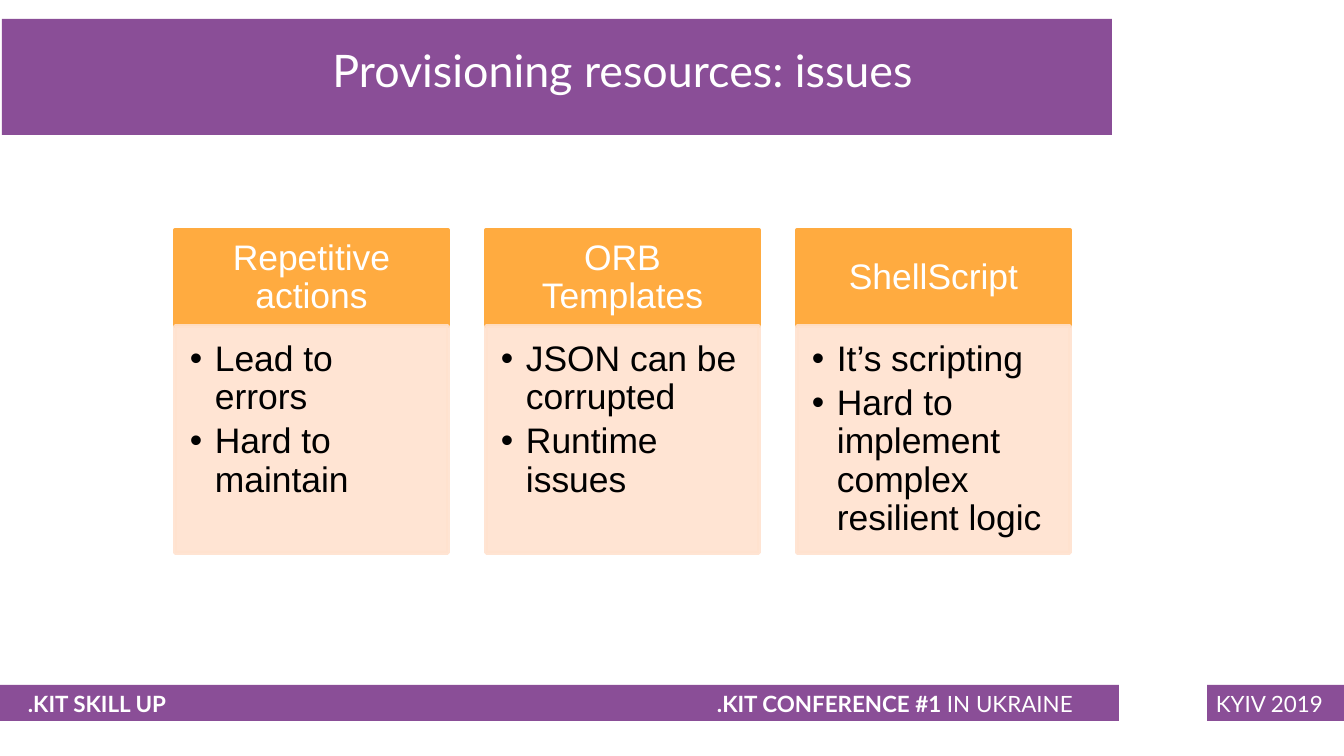
from lxml.etree import SubElement
from pptx import Presentation
from pptx.dml.color import RGBColor
from pptx.enum.shapes import MSO_SHAPE as Preset
from pptx.enum.text import MSO_ANCHOR as Anchor, MSO_AUTO_SIZE as AutoSize, PP_ALIGN as Align
from pptx.oxml.ns import qn
from pptx.util import Emu, Pt

# Content
TITLE = "Provisioning resources: issues"
CARDS = [
    ("Repetitive actions", ["Lead to errors", "Hard to maintain"]),
    ("ORB Templates", ["JSON can be corrupted", "Runtime issues"]),
    ("ShellScript", ["It’s scripting", "Hard to implement complex resilient logic"]),
]
# Footer entries: left, width, alignment, runs of (text, bold)
FOOTER = [
    (15, 400, Align.LEFT, [(".KIT SKILL UP", True)]),
    (539, 547, Align.RIGHT, [(".KIT CONFERENCE #1 ", True), ("IN UKRAINE", False)]),
    (1189, 147, Align.RIGHT, [("KYIV 2019", False)]),
]
COLORS = {"purple": "8A4E97", "white": "FFFFFF", "orange": "FFAB40",
          "peach": "FFE2CF", "black": "000000"}

# Layout in px
EMU_PER_PX = 914400 / 134.4
SLIDE_WIDTH, SLIDE_HEIGHT = 1344, 756
CARD_LEFT, CARD_PITCH, CARD_WIDTH = 175, 311, 273
HEADER_TOP, HEADER_HEIGHT, LIST_HEIGHT = 230, 96, 227
BULLET_INDENT = 25


def px(value):
    return Emu(round(value * EMU_PER_PX))


def color(name):
    return RGBColor.from_string(COLORS[name])


def add_box(left, top, width, height, fill, line=False, opacity=None):
    shape = slide.shapes.add_shape(Preset.RECTANGLE, px(left), px(top), px(width), px(height))
    shape.shadow.inherit = False
    shape.fill.solid()
    shape.fill.fore_color.rgb = color(fill)
    if line:
        shape.line.color.rgb = color(fill)
        shape.line.width = Pt(2)
    else:
        shape.line.fill.background()
    if opacity:
        for node in shape._element.spPr.iter(qn("a:srgbClr")):
            SubElement(node, qn("a:alpha"), val=str(opacity * 1000))
    return shape


def set_frame(shape, insets, anchor):
    frame = shape.text_frame
    frame.word_wrap = True
    frame.auto_size = AutoSize.NONE
    frame.vertical_anchor = anchor
    (frame.margin_left, frame.margin_top,
     frame.margin_right, frame.margin_bottom) = map(px, insets)
    return frame


def add_run(paragraph, text, size, font, fill, bold=False):
    run = paragraph.add_run()
    run.text = text
    run.font.size = Pt(size)
    run.font.name = font
    run.font.bold = bold
    run.font.color.rgb = color(fill)


def add_bullet(paragraph):
    properties = paragraph._p.get_or_add_pPr()
    properties.set("marL", str(px(BULLET_INDENT)))
    properties.set("indent", str(-px(BULLET_INDENT)))
    bullet_color = SubElement(properties, qn("a:buClr"))
    SubElement(bullet_color, qn("a:srgbClr"), val=COLORS["black"])
    SubElement(properties, qn("a:buFont"), typeface="Arial")
    SubElement(properties, qn("a:buChar"), char="•")


presentation = Presentation()
presentation.slide_width, presentation.slide_height = px(SLIDE_WIDTH), px(SLIDE_HEIGHT)
slide = presentation.slides.add_slide(presentation.slide_layouts[5])

# Footer band with a white gap
add_box(0, 685, SLIDE_WIDTH, 36, "purple")
add_box(1119, 659, 88, 88, "white")
for left, width, alignment, runs in FOOTER:
    text_box = slide.shapes.add_textbox(px(left), px(687), px(width), px(33))
    paragraph = set_frame(text_box, (13, 13, 13, 13), Anchor.MIDDLE).paragraphs[0]
    paragraph.alignment = alignment
    for text, bold in runs:
        add_run(paragraph, text, 12, "Lato", "white", bold)

# Title over its banner
banner = add_box(2, 19, 1110, 116, "purple")
title = slide.shapes.title
title.left, title.top, title.width, title.height = map(px, (185, 30, 875, 85))
banner._element.addnext(title._element)
paragraph = set_frame(title, (13, 13, 13, 13), Anchor.TOP).paragraphs[0]
paragraph.alignment = Align.CENTER
add_run(paragraph, TITLE, 24, "Lato", "white")

# Cards: heading above a bulleted list
for index, (heading, points) in enumerate(CARDS):
    left = CARD_LEFT + index * CARD_PITCH
    header = add_box(left, HEADER_TOP, CARD_WIDTH, HEADER_HEIGHT, "orange", line=True)
    paragraph = set_frame(header, (20, 11, 20, 11), Anchor.MIDDLE).paragraphs[0]
    paragraph.alignment = Align.CENTER
    paragraph.line_spacing = 0.9
    add_run(paragraph, heading, 19, "Arial", "white")

    body = add_box(left, HEADER_TOP + HEADER_HEIGHT, CARD_WIDTH, LIST_HEIGHT,
                   "peach", line=True, opacity=90)
    frame = set_frame(body, (15, 15, 20, 23), Anchor.TOP)
    for number, point in enumerate(points):
        paragraph = frame.add_paragraph() if number else frame.paragraphs[0]
        paragraph.alignment = Align.LEFT
        paragraph.line_spacing = 0.9
        paragraph.space_after = Pt(3)
        add_bullet(paragraph)
        add_run(paragraph, point, 19, "Arial", "black")

presentation.save("out.pptx")
